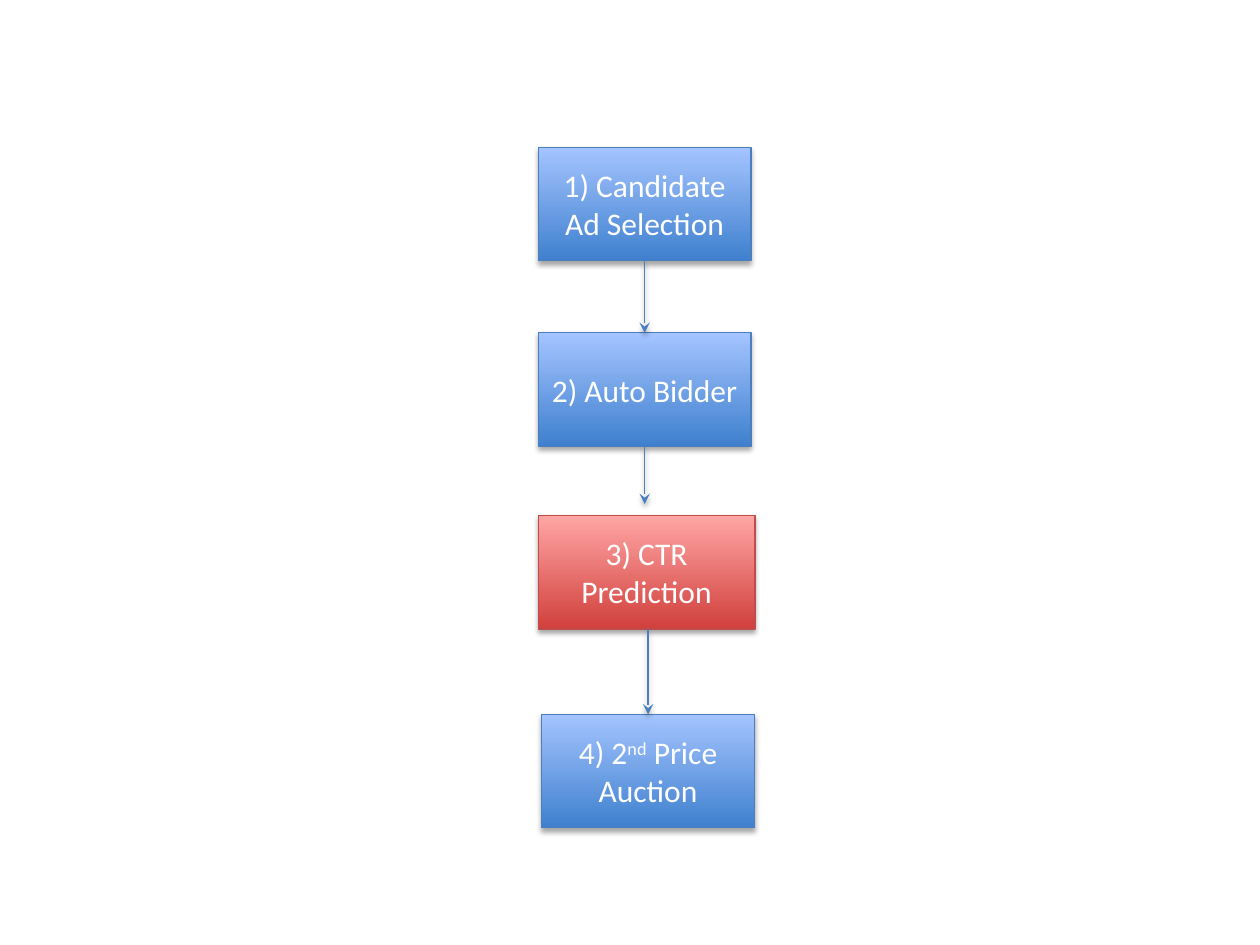
"""Build the ad auction pipeline slide: four stages joined by arrows."""
from dataclasses import dataclass

from lxml.etree import SubElement
from pptx import Presentation
from pptx.dml.color import RGBColor
from pptx.enum.shapes import MSO_CONNECTOR, MSO_SHAPE
from pptx.enum.text import MSO_ANCHOR, PP_ALIGN
from pptx.oxml.ns import qn
from pptx.util import Cm, Pt

WHITE = RGBColor(0xFF, 0xFF, 0xFF)
BLUE_DARK = RGBColor(0x3F, 0x80, 0xCE)
BLUE_LIGHT = RGBColor(0xA4, 0xC4, 0xFF)
BLUE_LINE = RGBColor(0x4B, 0x7E, 0xBC)
RED_DARK = RGBColor(0xD1, 0x40, 0x3C)
RED_LIGHT = RGBColor(0xFF, 0xA6, 0xA5)
RED_LINE = RGBColor(0xBF, 0x4C, 0x48)

BLUE = (BLUE_DARK, BLUE_LIGHT, BLUE_LINE)
RED = (RED_DARK, RED_LIGHT, RED_LINE)
FONT = {"name": "Calibri", "size": Pt(18)}
STAGE_HEIGHT = Cm(2.29)
TOP, BOTTOM = 0, 2


@dataclass
class Stage:
    runs: tuple
    left: float
    top: float
    width: float = 4.29
    colors: tuple = BLUE


STAGES = (
    Stage(("1) Candidate Ad Selection",), 10.85, 2.97),
    Stage(("2) Auto Bidder",), 10.85, 6.71),
    Stage(("3) CTR Prediction",), 10.85, 10.39, 4.37, RED),
    Stage(("4) 2", "nd", " Price Auction"), 10.92, 14.4),
)


def add_shadow(effects) -> None:
    shadow = SubElement(effects, qn("a:outerShdw"), blurRad=str(Pt(3.1)),
                        dist=str(Pt(1.8)), dir="5400000", rotWithShape="0")
    color = SubElement(shadow, qn("a:srgbClr"), val="000000")
    SubElement(color, qn("a:alpha"), val="35000")


def add_stage(s, stage: Stage):
    sp = s.shapes.add_shape(MSO_SHAPE.RECTANGLE, Cm(stage.left), Cm(stage.top),
                            Cm(stage.width), STAGE_HEIGHT)
    *shades, edge = stage.colors
    sp.fill.gradient()
    sp.fill.gradient_angle = 90
    for stop, shade in zip(sp.fill.gradient_stops, shades):
        stop.color.rgb = shade
    sp.line.color.rgb = edge
    sp.line.width = Pt(0.75)
    sp.shadow.inherit = False
    add_shadow(sp._element.spPr.find(qn("a:effectLst")))
    tf = sp.text_frame
    tf.word_wrap = True
    tf.vertical_anchor = MSO_ANCHOR.MIDDLE
    p = tf.paragraphs[0]
    p.alignment = PP_ALIGN.CENTER
    for text in stage.runs:
        r = p.add_run()
        r.text = text
        for key, value in FONT.items():
            setattr(r.font, key, value)
        r.font.color.rgb = WHITE
        if text == "nd":
            r.font._element.set("baseline", "30000")
    return sp


def add_arrow(s, x: int, start: int, end: int):
    arrow = s.shapes.add_connector(MSO_CONNECTOR.STRAIGHT, x, start, x, end)
    arrow.line.color.rgb = BLUE_LINE
    arrow.line.width = Pt(0.75)
    props = arrow._element.spPr
    SubElement(props.find(qn("a:ln")), qn("a:tailEnd"), type="stealth")
    add_shadow(SubElement(props, qn("a:effectLst")))
    return arrow


def main() -> None:
    prs = Presentation()
    prs.slide_width, prs.slide_height = Cm(25.4), Cm(19.05)
    s = prs.slides.add_slide(prs.slide_layouts[6])
    select, bidder, predict, auction = [add_stage(s, stage) for stage in STAGES]

    def center(sp) -> int:
        return sp.left + sp.width // 2

    arrow = add_arrow(s, center(select), select.top + select.height, bidder.top)
    arrow.begin_connect(select, BOTTOM)
    arrow.end_connect(bidder, TOP)
    arrow = add_arrow(s, center(bidder), bidder.top + bidder.height, Cm(10.16))
    arrow.begin_connect(bidder, BOTTOM)
    arrow = add_arrow(s, center(auction), predict.top + predict.height, auction.top)
    arrow.end_connect(auction, TOP)
    prs.save("out.pptx")


if __name__ == "__main__":
    main()
